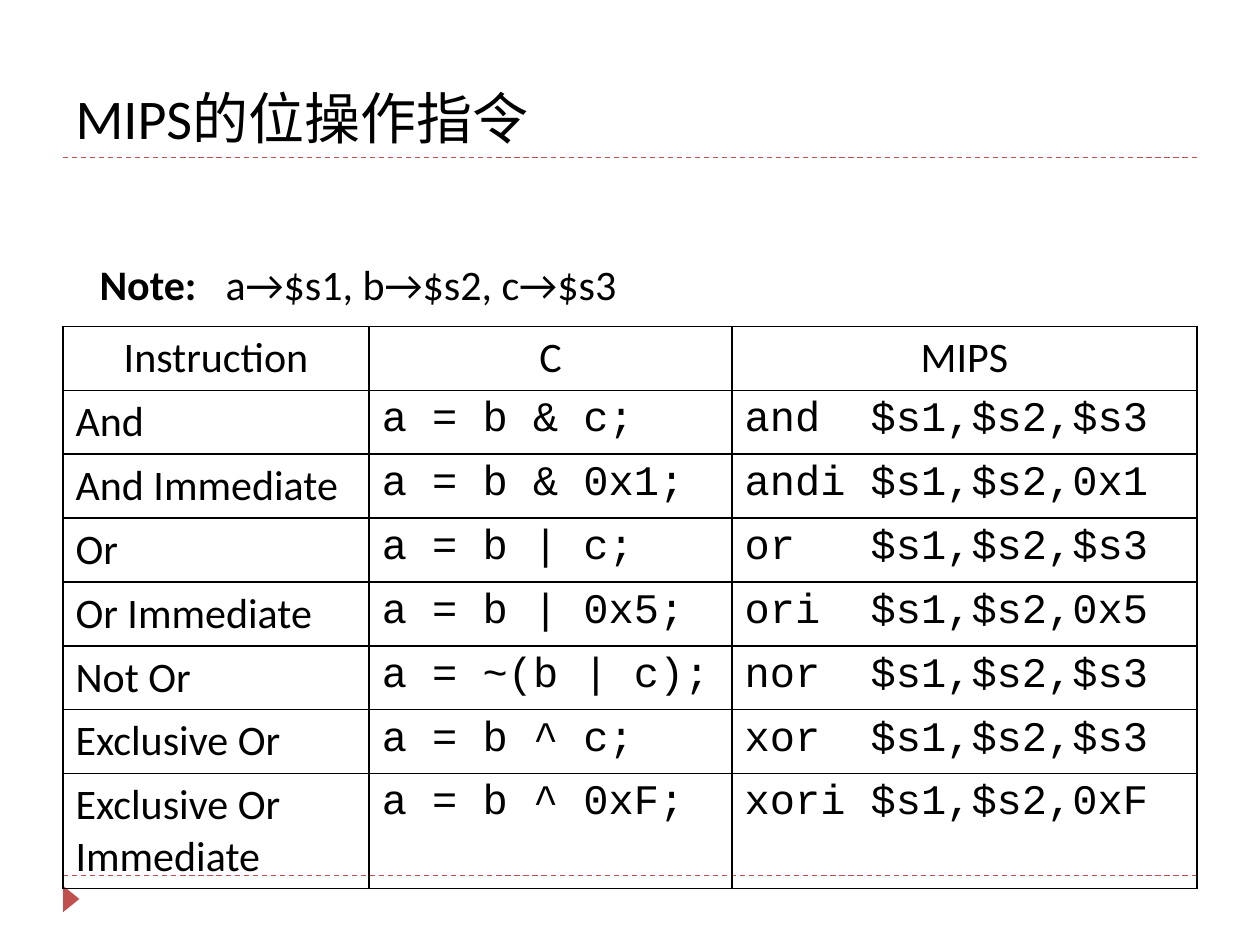
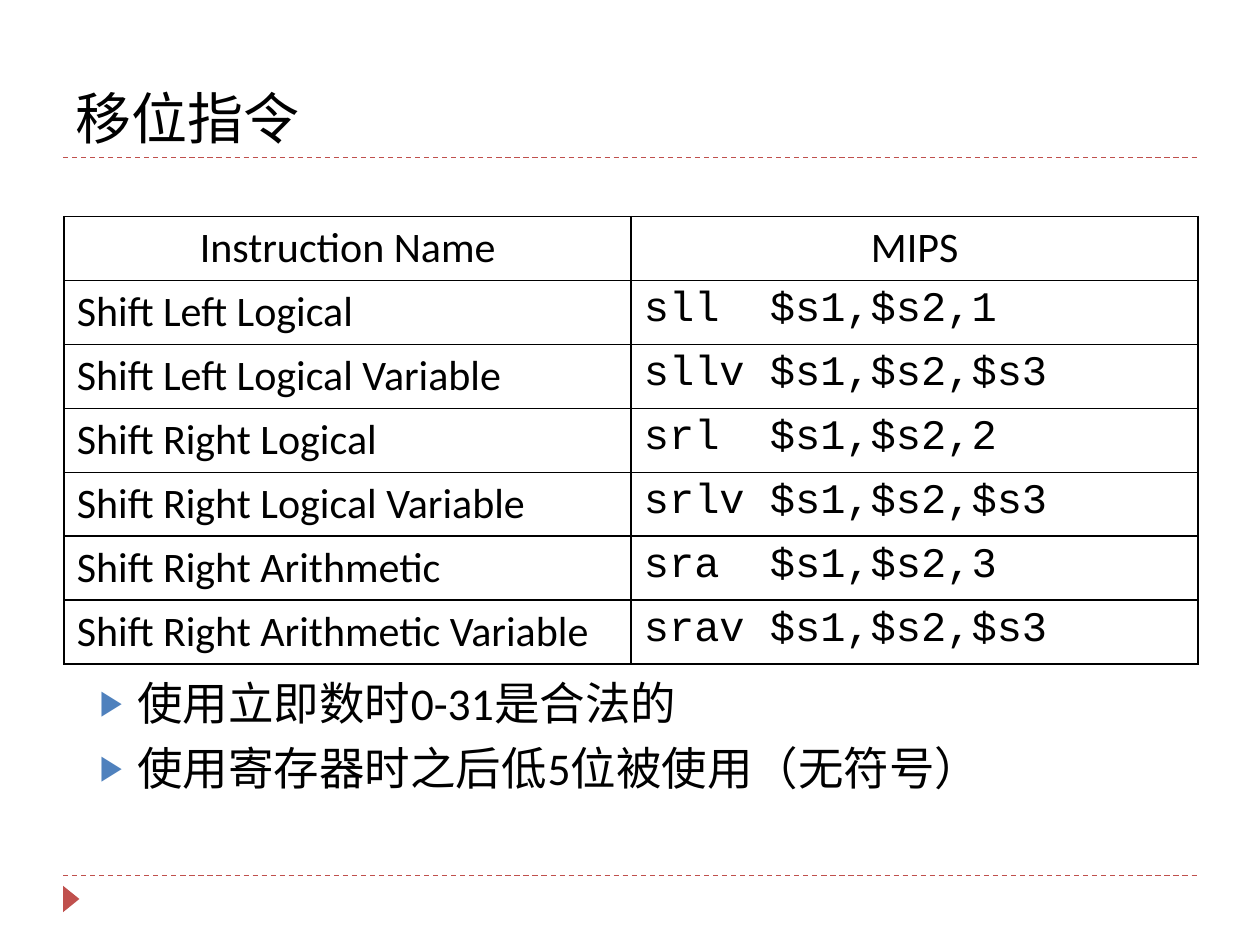
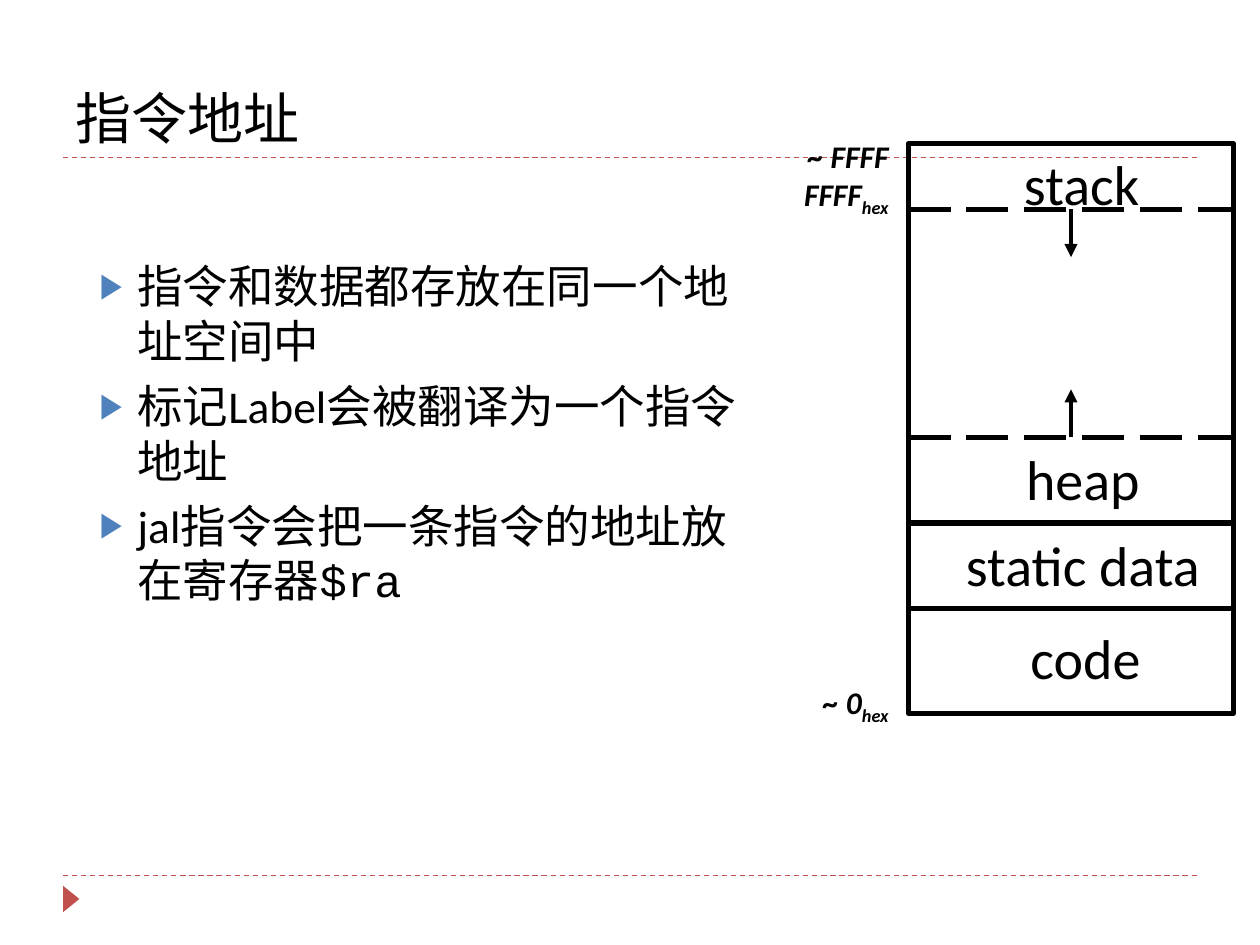
"""Builds three slides on MIPS bit operations, shifts and memory layout."""
from dataclasses import dataclass

from lxml.etree import SubElement
from pptx import Presentation
from pptx.dml.color import RGBColor
from pptx.enum.dml import MSO_LINE
from pptx.enum.shapes import MSO_CONNECTOR, MSO_SHAPE
from pptx.enum.text import MSO_ANCHOR, MSO_AUTO_SIZE, PP_ALIGN
from pptx.oxml.ns import qn
from pptx.util import Inches, Pt


@dataclass(frozen=True)
class Theme:
    """Colours, fonts and type sizes of the deck."""
    ink: RGBColor = RGBColor(0, 0, 0)
    paper: RGBColor = RGBColor(255, 255, 255)
    accent: RGBColor = RGBColor(0xC0, 0x50, 0x4D)
    bullet: RGBColor = RGBColor(0x4F, 0x81, 0xBD)
    text_font: str = "Calibri"
    code_font: str = "Courier New"
    title_size: int = 32
    list_size: int = 26
    table_size: int = 24
    label_size: int = 32
    address_size: int = 18


class Deck:
    """Holds the style and the current slide, and draws elements on it."""

    def __init__(self, theme):
        """Starts a presentation whose layout carries the shared parts."""
        self.theme = theme
        self.presentation = Presentation()
        self.presentation.slide_width = Inches(10)
        self.presentation.slide_height = Inches(7.5)
        self.layout = self.presentation.slide_layouts[1]
        self.slide = None
        self.canvas = None

    def add_slide(self, title):
        """Adds a slide with its title."""
        self.slide = self.presentation.slides.add_slide(self.layout)
        self.canvas = self.slide.shapes
        paragraph = self.slide.shapes.title.text_frame.paragraphs[0]
        paragraph.text = title
        paragraph.alignment = PP_ALIGN.LEFT
        self.format_font(paragraph.font, self.theme.title_size)

    def decorate_layout(self):
        """Places the title and moves the rules and the marker to the layout."""
        title = self.layout.placeholders[0]
        self.place(title, 0.5, 0.17, 9, 1.08)
        title.text_frame.vertical_anchor = MSO_ANCHOR.BOTTOM
        parts = [self.line((0.5, y), (9.5, y), 0.75, self.theme.accent, MSO_LINE.DASH)
                 for y in (6.95, 1.25)]
        marker = self.box(0.46, 7.07, 0.21, 0.13, fill=self.theme.accent,
                          preset=MSO_SHAPE.ISOSCELES_TRIANGLE)
        marker.rotation = 90
        for part in parts + [marker]:
            self.layout.shapes.element.append(part.element)

    def start_group(self):
        """Collects the elements that follow in one group."""
        self.canvas = self.slide.shapes.add_group_shape().shapes

    def place(self, shape, left, top, width, height):
        """Sets the position and size of a shape in inches."""
        shape.left, shape.top = Inches(left), Inches(top)
        shape.width, shape.height = Inches(width), Inches(height)

    def format_font(self, font, size, name=None, bold=False, italic=False):
        """Applies the style to a font."""
        font.name = name or self.theme.text_font
        font.size = Pt(size)
        font.bold = bold
        font.italic = italic
        font.color.rgb = self.theme.ink

    def body(self, *position):
        """Moves the body placeholder and returns its text frame."""
        body = self.slide.placeholders[1]
        self.place(body, *position)
        body.text_frame.auto_size = MSO_AUTO_SIZE.NONE
        return body.text_frame

    def note(self, heading, text, tab, position):
        """Writes a bold heading and a text after a tab in the body."""
        paragraph = self.body(*position).paragraphs[0]
        paragraph.space_before = Pt(0)
        properties = paragraph._p.get_or_add_pPr()
        properties.set("marL", "0")
        properties.set("indent", "0")
        SubElement(properties, qn("a:buNone"))
        tabs = SubElement(properties, qn("a:tabLst"))
        SubElement(tabs, qn("a:tab"), pos=str(Inches(tab)), algn="l")
        self.format_font(paragraph.font, self.theme.table_size)
        for content, bold in ((heading, True), ("\t" + text, False)):
            run = paragraph.add_run()
            run.text = content
            run.font.bold = bold

    def bullets(self, items, position):
        """Writes a bulleted list in the body and returns its paragraphs."""
        frame = self.body(*position)
        for index, item in enumerate(items):
            paragraph = frame.add_paragraph() if index else frame.paragraphs[0]
            paragraph.text = item
            paragraph.space_before = Pt(6 if index else 0)
            properties = paragraph._p.get_or_add_pPr()
            properties.set("marL", str(Inches(0.3)))
            properties.set("indent", str(-Inches(0.3)))
            color = SubElement(properties, qn("a:buClr"))
            SubElement(color, qn("a:srgbClr"), val=str(self.theme.bullet))
            SubElement(properties, qn("a:buSzPct"), val="76000")
            SubElement(properties, qn("a:buChar"), char="▶")
            self.format_font(paragraph.font, self.theme.list_size)
        return frame.paragraphs

    def table(self, left, top, widths, rows):
        """Draws a bordered table with names first and code after them."""
        frame = self.canvas.add_table(
            len(rows), len(widths), Inches(left), Inches(top),
            Inches(sum(widths)), Inches(0.5 * len(rows)))
        table = frame.table
        table.first_row = table.horz_banding = False
        for column, width in zip(table.columns, widths):
            column.width = Inches(width)
        for row_index, row in enumerate(rows):
            for column_index, text in enumerate(row):
                cell = table.cell(row_index, column_index)
                self.border(cell)
                cell.fill.background()
                paragraph = cell.text_frame.paragraphs[0]
                paragraph.text = text
                is_code = row_index > 0 and column_index > 0
                paragraph.alignment = PP_ALIGN.LEFT if row_index else PP_ALIGN.CENTER
                self.format_font(paragraph.font, self.theme.table_size,
                                 self.theme.code_font if is_code else None)
        return table

    def border(self, cell):
        """Gives a cell thin lines on its four sides."""
        properties = cell._tc.get_or_add_tcPr()
        for side in ("lnL", "lnR", "lnT", "lnB"):
            edge = SubElement(properties, qn(f"a:{side}"), w=str(Pt(1)))
            fill = SubElement(edge, qn("a:solidFill"))
            SubElement(fill, qn("a:srgbClr"), val=str(self.theme.ink))

    def box(self, left, top, width, height, fill=None, line=None, weight=1,
            preset=MSO_SHAPE.RECTANGLE):
        """Draws a preset shape with an optional fill and outline."""
        shape = self.canvas.add_shape(preset, Inches(left), Inches(top),
                                      Inches(width), Inches(height))
        shape.shadow.inherit = False
        if fill is None:
            shape.fill.background()
        else:
            shape.fill.solid()
            shape.fill.fore_color.rgb = fill
        if line is None:
            shape.line.fill.background()
        else:
            shape.line.color.rgb = line
            shape.line.width = Pt(weight)
        return shape

    def line(self, start, end, weight, color, dash=None, arrow=False):
        """Draws a straight line, dashed or with an arrowhead if asked."""
        connector = self.canvas.add_connector(
            MSO_CONNECTOR.STRAIGHT, *map(Inches, start + end))
        connector.line.color.rgb = color
        connector.line.width = Pt(weight)
        if dash:
            connector.line.dash_style = dash
        if arrow:
            SubElement(connector.line._get_or_add_ln(), qn("a:tailEnd"), type="triangle")
        SubElement(connector.element.spPr, qn("a:effectLst"))
        return connector

    def text(self, text, position, size, alignment, bold=False, italic=False):
        """Writes a text box and returns its paragraph."""
        frame = self.canvas.add_textbox(*map(Inches, position)).text_frame
        frame.word_wrap = True
        paragraph = frame.paragraphs[0]
        paragraph.text = text
        paragraph.alignment = alignment
        self.format_font(paragraph.font, size, bold=bold, italic=italic)
        return paragraph

    def address(self, text, position):
        """Writes a memory address with its base as a subscript."""
        paragraph = self.text(text, position, self.theme.address_size,
                              PP_ALIGN.RIGHT, bold=True, italic=True)
        base = paragraph.add_run()
        base.text = "hex"
        base._r.get_or_add_rPr().set("baseline", "-25000")


def add_bit_operations(deck):
    """Adds the slide on bitwise instructions."""
    deck.add_slide("MIPS的位操作指令")
    deck.decorate_layout()
    deck.note("Note:", "a→$s1, b→$s2, c→$s3", 0.92, (0.69, 2, 8.62, 0.6))
    table = deck.table(0.5, 2.59, (2.43, 2.88, 3.69), [
        ("Instruction", "C", "MIPS"),
        ("And", "a = b & c;", "and  $s1,$s2,$s3"),
        ("And Immediate", "a = b & 0x1;", "andi $s1,$s2,0x1"),
        ("Or", "a = b | c;", "or   $s1,$s2,$s3"),
        ("Or Immediate", "a = b | 0x5;", "ori  $s1,$s2,0x5"),
        ("Not Or", "a = ~(b | c);", "nor  $s1,$s2,$s3"),
        ("Exclusive Or", "a = b ^ c;", "xor  $s1,$s2,$s3"),
        ("Exclusive Or Immediate", "a = b ^ 0xF;", "xori $s1,$s2,0xF"),
    ])
    table.rows[len(table.rows) - 1].height = Inches(0.9)


def add_shifts(deck):
    """Adds the slide on shift instructions."""
    deck.add_slide("移位指令")
    deck.bullets(["使用立即数时0-31是合法的", "使用寄存器时之后低5位被使用（无符号）"],
                 (0.69, 5.31, 8.62, 1.45))
    deck.table(0.51, 1.72, (4.5, 4.5), [
        ("Instruction Name", "MIPS"),
        ("Shift Left Logical", "sll  $s1,$s2,1"),
        ("Shift Left Logical Variable", "sllv $s1,$s2,$s3"),
        ("Shift Right Logical", "srl  $s1,$s2,2"),
        ("Shift Right Logical Variable", "srlv $s1,$s2,$s3"),
        ("Shift Right Arithmetic", "sra  $s1,$s2,3"),
        ("Shift Right Arithmetic Variable", "srav $s1,$s2,$s3"),
    ])


def add_memory_layout(deck):
    """Adds the slide on instruction addresses with the memory diagram."""
    theme = deck.theme
    deck.add_slide("指令地址")
    paragraphs = deck.bullets([
        "指令和数据都存放在同一个地址空间中",
        "标记Label会被翻译为一个指令地址",
        "jal指令会把一条指令的地址放在寄存器",
    ], (0.69, 2, 5.53, 4.76))
    register = paragraphs[-1].add_run()
    register.text = "$ra"
    register.font.name = theme.code_font

    left, width, middle = 7.21, 2.58, 8.5
    stack_end, heap_end, data_top, code_top = 1.66, 3.47, 4.15, 4.83
    deck.start_group()
    deck.box(left, stack_end, width, heap_end - stack_end, theme.paper, theme.paper)
    deck.box(left, 1.14, width, 4.52, line=theme.ink, weight=3)
    deck.box(left, code_top, width, 0.83, line=theme.ink)
    deck.box(left, data_top, width, code_top - data_top, line=theme.ink, weight=3)
    for y in (heap_end, stack_end):
        deck.line((left, y), (left + width, y), 3, theme.ink, MSO_LINE.LONG_DASH)
    for label, x, y, label_width in (
            ("code", 8, 4.9, 1.23), ("static data", 7.51, 4.16, 2.17),
            ("heap", 7.98, 3.48, 1.23), ("stack", 7.97, 1.14, 1.23)):
        deck.text(label, (x, y, label_width, 0.58), theme.label_size, PP_ALIGN.CENTER)
    for y, growth in ((heap_end, -0.38), (stack_end, 0.38)):
        deck.line((middle, y), (middle, y + growth), 2.5, theme.ink, arrow=True)
    deck.address("~ FFFF FFFF", (5.6, 1.04, 1.55, 0.36))
    deck.address("~ 0", (6.38, 5.37, 0.77, 0.36))


def main():
    """Builds and saves the deck."""
    deck = Deck(Theme())
    add_bit_operations(deck)
    add_shifts(deck)
    add_memory_layout(deck)
    deck.presentation.save("out.pptx")


if __name__ == "__main__":
    main()
